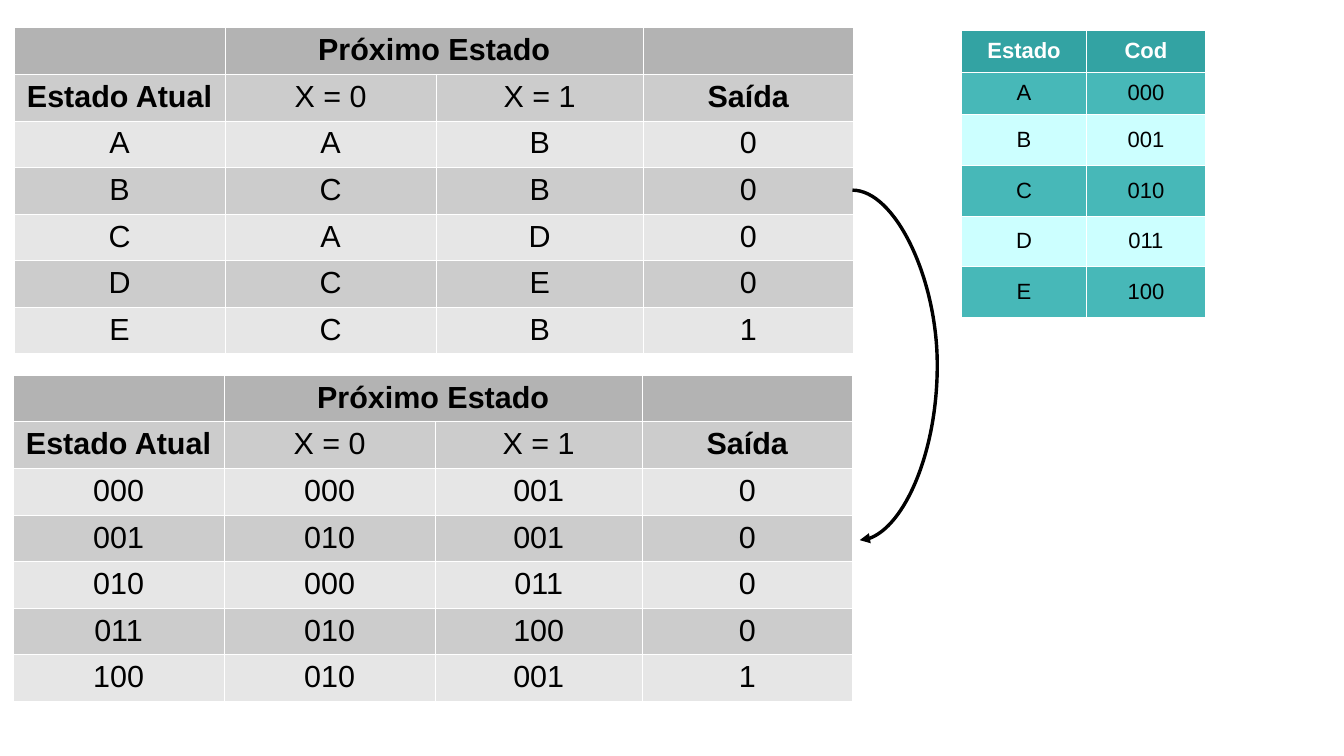
from dataclasses import dataclass

from lxml.etree import SubElement
from pptx import Presentation
from pptx.dml.color import RGBColor as Color
from pptx.enum.shapes import MSO_CONNECTOR as Connector
from pptx.enum.text import MSO_ANCHOR as Anchor, PP_ALIGN as Align
from pptx.oxml.ns import qn
from pptx.util import Pt


@dataclass(frozen=True)
class Theme:
    font: str = "Arial"
    ink: str = "000000"
    paper: str = "FFFFFF"
    grays: tuple = ("B3B3B3", "CCCCCC", "E6E6E6")   # header, odd, even rows
    teals: tuple = ("33A3A3", "47B8B8", "CCFFFF")
    large: int = 18
    small: int = 13
    border: float = 0.06


def set_all(target, values):
    for name, value in values.items():
        setattr(target, name, value)


class SlideBuilder:
    def __init__(self, slide, theme):
        self.slide, self.theme = slide, theme

    def borders(self, cell):
        props = cell._tc.get_or_add_tcPr()
        for index, side in enumerate(("lnL", "lnR", "lnT", "lnB")):
            line = SubElement(props, qn(f"a:{side}"), w=str(Pt(self.theme.border)))
            fill = SubElement(line, qn("a:solidFill"))
            SubElement(fill, qn("a:srgbClr"), val=self.theme.paper)
            props.insert(index, line)

    def cell(self, cell, text, fill, size, ink, bold, anchor):
        set_all(cell, {"margin_left": Pt(7), "margin_right": Pt(7),
                       "margin_top": Pt(3.4), "margin_bottom": Pt(3.4),
                       "vertical_anchor": anchor})
        cell.fill.solid()
        cell.fill.fore_color.rgb = Color.from_string(fill)
        self.borders(cell)
        para = cell.text_frame.paragraphs[0]
        para.alignment = Align.CENTER
        set_all(para.font, {"size": Pt(size), "name": self.theme.font})
        if text:
            span = para.add_run()
            span.text = text
            set_all(span.font, {"size": Pt(size), "name": self.theme.font, "bold": bold})
            span.font.color.rgb = Color.from_string(ink)

    def table(self, left, top, widths, heights, rows, fills, size,
              bold_words, header_ink, anchor=Anchor.TOP):
        frame = self.slide.shapes.add_table(
            len(rows), len(widths), Pt(left), Pt(top),
            Pt(sum(widths)), Pt(sum(heights)))
        table = frame.table
        set_all(table, {"first_row": False, "horz_banding": False})
        for column, width in zip(table.columns, widths):
            column.width = Pt(width)
        for row, height in zip(table.rows, heights):
            row.height = Pt(height)
        header, odd, even = fills
        for r, words in enumerate(rows):
            fill = header if r == 0 else odd if r % 2 else even
            ink = header_ink if r == 0 else self.theme.ink
            for c, word in enumerate(words):
                self.cell(table.cell(r, c), word, fill, size, ink,
                          word in bold_words, anchor)
        return table

    def curved_arrow(self, start, end, bulge):
        """Join two points with a curve reaching `bulge` points right of start."""
        arrow = self.slide.shapes.add_connector(
            Connector.CURVE, *(Pt(value) for value in (*start, *end)))
        arrow.line.color.rgb = Color.from_string(self.theme.ink)
        arrow.line.width = Pt(0)
        props = arrow._element.spPr
        ratio = round(bulge / (end[0] - start[0]) * 100000)
        guides = props.find(qn("a:prstGeom")).find(qn("a:avLst"))
        SubElement(guides, qn("a:gd"), name="adj1", fmla=f"val {ratio}")
        SubElement(props.find(qn("a:ln")), qn("a:tailEnd"), type="triangle")
        SubElement(props, qn("a:effectLst"))


theme = Theme()
deck = Presentation()
set_all(deck, {"slide_width": Pt(793.44), "slide_height": Pt(446.4)})
page = SlideBuilder(deck.slides.add_slide(deck.slide_layouts[6]), theme)

# State machine and the binary code of each state
codes = {state: f"{number:03b}" for number, state in enumerate("ABCDE")}
transitions = ["AAB0", "BCB0", "CAD0", "DCE0", "ECB1"]
headings = [("", "Próximo Estado", "", ""),
            ("Estado Atual", "X = 0", "X = 1", "Saída")]
encoded = [[codes.get(sign, sign) for sign in row] for row in transitions]


def state_table(left, top, rows):
    table = page.table(left, top, (124.56, 124.56, 122.4, 123.84), [27.5] * 7,
                       headings + rows, theme.grays, theme.large,
                       {"Próximo Estado", "Estado Atual", "Saída"}, theme.ink)
    table.cell(0, 1).merge(table.cell(0, 2))


# Transitions by state name
state_table(8.3, 16.2, transitions)

# Code of each state
page.table(567.6, 17.5, (73.8, 70.2), [25] * 2 + [30] * 4,
           [("Estado", "Cod"), *codes.items()], theme.teals, theme.small,
           {"Estado", "Cod"}, theme.paper, Anchor.MIDDLE)

# Arrow from the named table to the encoded one
page.curved_arrow((503.28, 112.32), (507.6, 318.96), 50.2)

# Transitions by code
state_table(7.7, 221.4, encoded)

deck.save("out.pptx")
